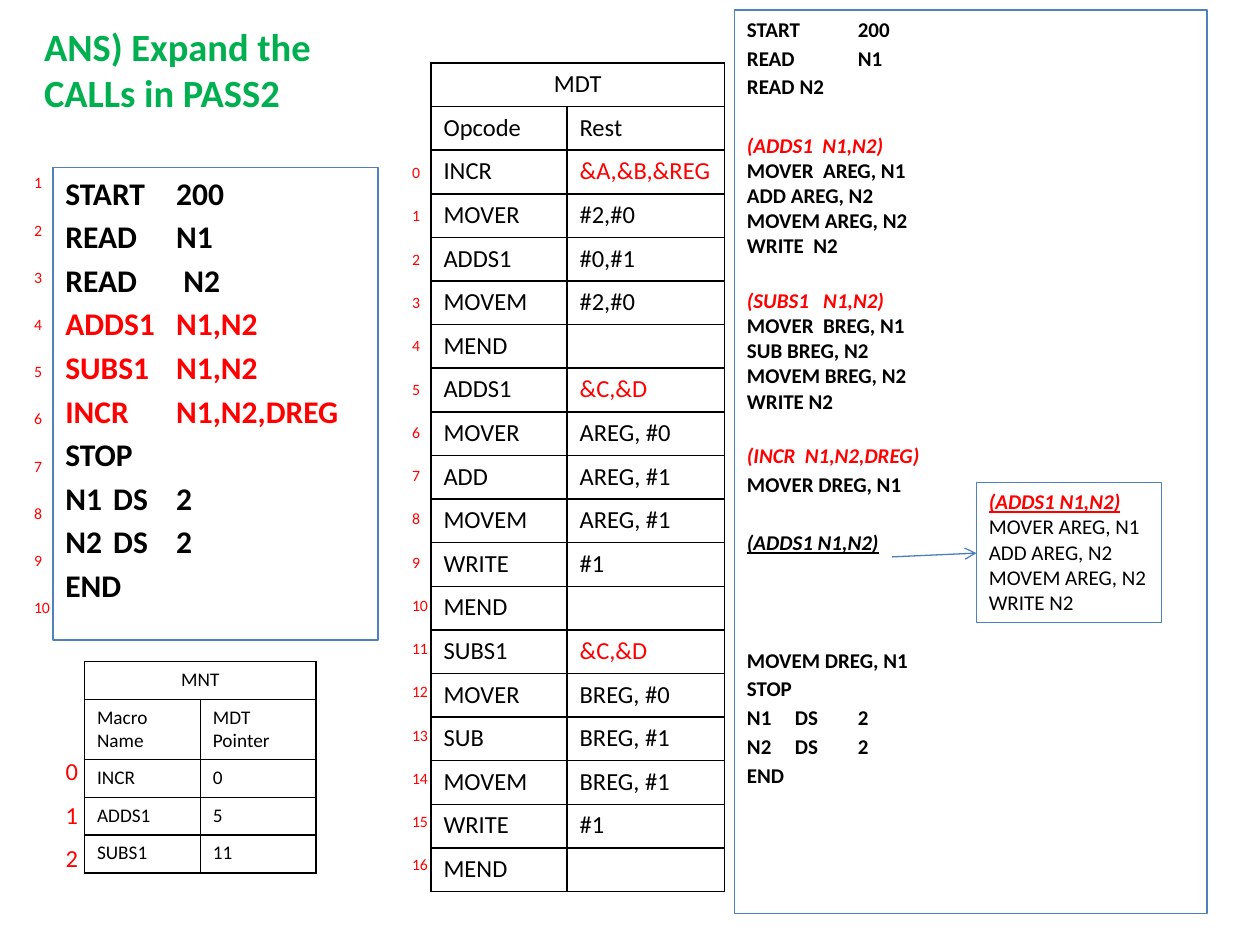
import pptx
import pptx.dml.color
import pptx.enum.shapes
import pptx.enum.text
import pptx.oxml
import pptx.oxml.ns
import pptx.util
from pptx.util import Inches

BLACK, RED, GREEN, BLUE = "000000", "FF0000", "00B050", "4F81BD"
A_NS = pptx.oxml.ns.nsdecls("a")
NO_STYLE = "{2D5ABB26-0587-4C30-8999-92F81FD0307C}"


def rgb(hex_string):
    return pptx.dml.color.RGBColor.from_string(hex_string)


def write(paragraph, text, size, color=BLACK, bold=False, italic=None, underline=None):
    """Add one formatted run; an empty text only fixes the line height."""
    if not text:
        paragraph._p.get_or_add_endParaRPr().set("sz", str(size * 100))
        return
    run = paragraph.add_run()
    run.text = text
    font = run.font
    font.name, font.size = "Calibri", pptx.util.Pt(size)
    font.color.rgb = rgb(color)
    font.bold, font.italic, font.underline = bold, italic, underline


prs = pptx.Presentation()
prs.slide_width, prs.slide_height = Inches(10), Inches(7.5)
slide = prs.slides.add_slide(prs.slide_layouts[5])
shapes = slide.shapes

title = shapes.title
title.left, title.top, title.width, title.height = map(Inches, (0.25, 0.13, 3, 0.84))
title.text_frame.vertical_anchor = pptx.enum.text.MSO_ANCHOR.TOP
title.text_frame.auto_size = pptx.enum.text.MSO_AUTO_SIZE.NONE
heading = title.text_frame.paragraphs[0]
heading.alignment = pptx.enum.text.PP_ALIGN.LEFT
write(heading, "ANS) Expand the CALLs in PASS2", 22, GREEN, True)

# Tables: the macro tables have a merged heading, the index columns have no grid
line_numbers = [[str(n)] for n in range(1, 11)]
mnt = [["MNT", ""], ["Macro Name", "MDT Pointer"], ["INCR", "0"], ["ADDS1", "5"], ["SUBS1", "11"]]
mnt_index = [[""], [""], ["0"], ["1"], ["2"]]
mdt = [
    ["MDT", ""], ["Opcode", "Rest"],
    ["INCR", "&A,&B,&REG"], ["MOVER", "#2,#0"], ["ADDS1", "#0,#1"], ["MOVEM", "#2,#0"], ["MEND", ""],
    ["ADDS1", "&C,&D"], ["MOVER", "AREG, #0"], ["ADD", "AREG, #1"], ["MOVEM", "AREG, #1"],
    ["WRITE", "#1"], ["MEND", ""],
    ["SUBS1", "&C,&D"], ["MOVER", "BREG, #0"], ["SUB", "BREG, #1"], ["MOVEM", "BREG, #1"],
    ["WRITE", "#1"], ["MEND", ""],
]
mdt_index = [[str(n)] for n in range(17)] + [[""]]

# rows, left, top, height, column widths, text size, has grid
tables = [
    (line_numbers, 0.17, 1.33, 3.75, [0.33], 9, False),
    (mnt, 0.67, 5.25, 1.5, [0.92, 0.92], 11, True),
    (mnt_index, 0.42, 5.27, 1.73, [0.5], 14, False),
    (mdt, 3.42, 0.5, 6.58, [1.08, 1.25], 14, True),
    (mdt_index, 3.17, 1.25, 6.18, [0.33], 9, False),
]
for rows, left, top, height, widths, size, has_grid in tables:
    frame = shapes.add_table(len(rows), len(widths), Inches(left), Inches(top),
                             Inches(sum(widths)), Inches(height))
    table = frame.table
    table.first_row = table.horz_banding = False
    table._tbl.tblPr.find(pptx.oxml.ns.qn("a:tableStyleId")).text = NO_STYLE
    for column, width in zip(table.columns, widths):
        column.width = Inches(width)
    for r, row in enumerate(rows):
        table.rows[r].height = Inches(height / len(rows))
        for c, text in enumerate(row):
            cell = table.cell(r, c)
            if not has_grid:
                cell.margin_right = 0
            color = RED if not has_grid or text.startswith("&") else BLACK
            write(cell.text_frame.paragraphs[0], text, size, color)
            for side in ("lnL", "lnR", "lnT", "lnB") if has_grid else ():
                cell._tc.get_or_add_tcPr().append(pptx.oxml.parse_xml(
                    f'<a:{side} {A_NS} w="12700"><a:solidFill><a:srgbClr val="{BLACK}"/>'
                    f'</a:solidFill></a:{side}>'))
            cell.fill.background()
    if has_grid:
        table.cell(0, 0).merge(table.cell(0, 1))
        table.cell(0, 0).text_frame.paragraphs[0].alignment = pptx.enum.text.PP_ALIGN.CENTER

# Code boxes: each line is (text, space before in points, hanging indent, run format)
CALL = {"color": RED, "bold": True}
MACRO = {"color": RED, "bold": True, "italic": True}
NESTED = {"bold": True, "italic": True, "underline": True}
BOLD = {"bold": True}

source_code = [(text, 3.3, True, CALL if "N1,N2" in text else BOLD) for text in (
    "START \t200", "READ \tN1", "READ\t N2", "ADDS1\tN1,N2", "SUBS1 \tN1,N2",
    "INCR\tN1,N2,DREG", "STOP", "N1\tDS \t2", "N2\tDS\t2", "END")]

expanded_code = [(text, 2.1, True, BOLD) for text in ("START \t200", "READ \tN1", "READ\t N2")]
for call, gap, body in (
    ("(ADDS1  N1,N2)", 18.8, ("MOVER  AREG, N1", "ADD AREG, N2", "MOVEM AREG, N2", "WRITE  N2")),
    ("(SUBS1   N1,N2)", 16.7, ("MOVER  BREG, N1", "SUB BREG, N2", "MOVEM BREG, N2", "WRITE N2")),
):
    expanded_code.append((call, gap, True, MACRO))
    expanded_code += [(text, 0, False, BOLD) for text in body]
expanded_code += [
    ("(INCR  N1,N2,DREG)", 16.7, True, MACRO),
    ("MOVER DREG, N1", 2.1, True, BOLD),
    ("(ADDS1 N1,N2)", 18.8, True, NESTED),
    ("MOVEM DREG, N1", 52.8, True, BOLD),
]
expanded_code += [(text, 2.1, True, BOLD) for text in ("STOP", "N1\tDS \t2", "N2\tDS\t2", "END")]

nested_expansion = [("(ADDS1 N1,N2)", 0, False, {**NESTED, "color": RED})]
nested_expansion += [(text, 0, False, {}) for text in (
    "MOVER AREG, N1", "ADD AREG, N2", "MOVEM AREG, N2", "WRITE N2")]

for lines, position, size, wraps in (
    (source_code, (0.42, 1.33, 2.58, 3.75), 18, True),
    (expanded_code, (5.83, 0.08, 3.75, 7.17), 12, True),
    (nested_expansion, (7.75, 3.83, 1.47, 1.11), 12, False),
):
    box = shapes.add_shape(pptx.enum.shapes.MSO_SHAPE.RECTANGLE, *map(Inches, position))
    box.shadow.inherit = False
    box.fill.background()
    box.line.color.rgb = rgb(BLUE)
    box.line.width = pptx.util.Pt(0.75)
    code = box.text_frame
    code.word_wrap = wraps
    code.vertical_anchor = pptx.enum.text.MSO_ANCHOR.TOP
    for n, (text, gap, hanging, style) in enumerate(lines):
        paragraph = code.add_paragraph() if n else code.paragraphs[0]
        paragraph.alignment = pptx.enum.text.PP_ALIGN.LEFT
        paragraph.space_before = pptx.util.Pt(gap if n else 0)
        if hanging:
            properties = paragraph._p.get_or_add_pPr()
            properties.set("marL", str(Inches(0.38)))
            properties.set("indent", str(Inches(-0.38)))
        write(paragraph, text, size, **style)

arrow = shapes.add_connector(pptx.enum.shapes.MSO_CONNECTOR.STRAIGHT,
                             Inches(7.08), Inches(4.42), Inches(7.75), Inches(4.39))
arrow.line.color.rgb = rgb("4B7EBC")
arrow.line.width = pptx.util.Pt(0.75)
arrow.line._get_or_add_ln().append(pptx.oxml.parse_xml(f'<a:tailEnd {A_NS} type="arrow"/>'))
arrow._element.spPr.append(pptx.oxml.parse_xml(f"<a:effectLst {A_NS}/>"))

prs.save("out.pptx")
